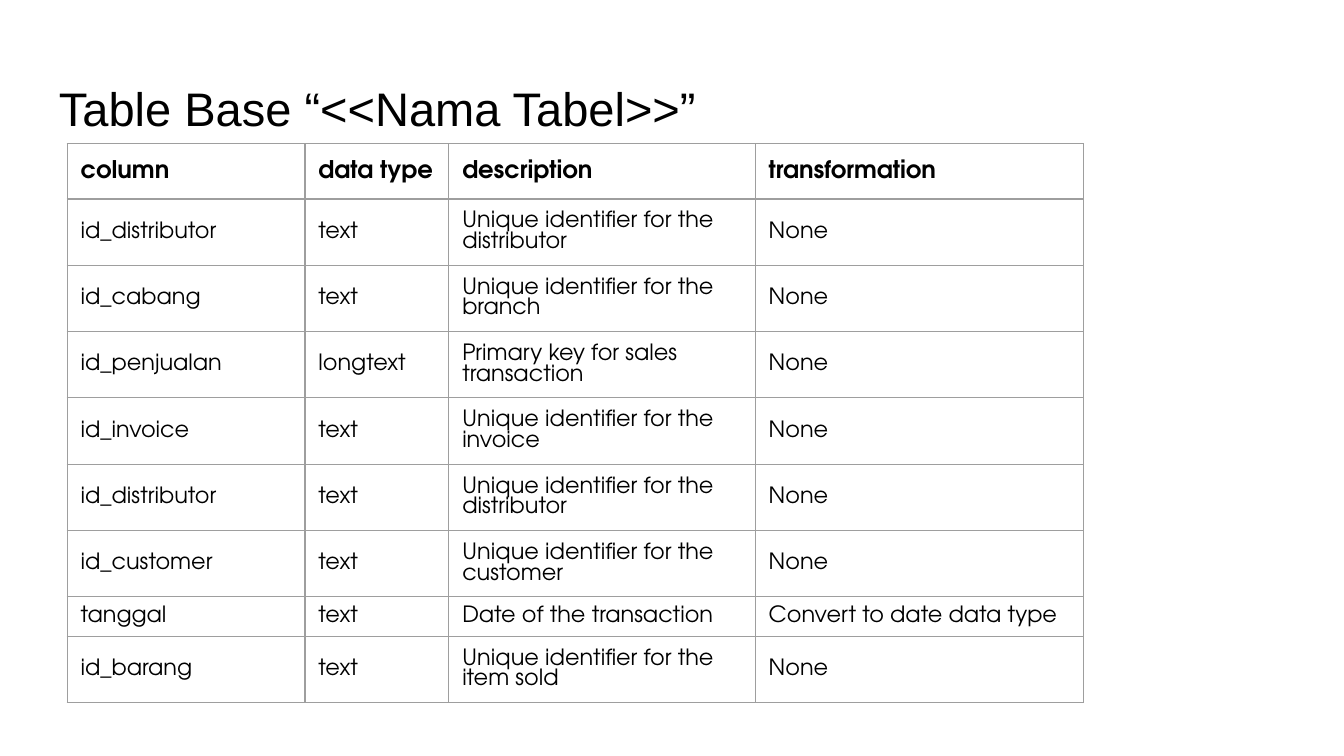
from typing import NamedTuple

from lxml import etree
from pptx import Presentation
from pptx.dml.color import RGBColor
from pptx.enum.text import MSO_ANCHOR
from pptx.oxml.ns import qn
from pptx.util import Inches, Pt

MIDDLE = MSO_ANCHOR.MIDDLE
BLACK, GRID = "000000", "9E9E9E"
FONT = "TeX Gyre Adventor"


class Field(NamedTuple):
    column: str
    data_type: str
    description: str
    transformation: str = "None"
    height: float = 0.49


HEADER = Field("column", "data type", "description", "transformation", 0.41)
FIELDS = [
    Field("id_distributor", "text", "Unique identifier for the distributor"),
    Field("id_cabang", "text", "Unique identifier for the branch"),
    Field("id_penjualan", "longtext", "Primary key for sales transaction"),
    Field("id_invoice", "text", "Unique identifier for the invoice"),
    Field("id_distributor", "text", "Unique identifier for the distributor"),
    Field("id_customer", "text", "Unique identifier for the customer"),
    Field("tanggal", "text", "Date of the transaction", "Convert to date data type", 0.29),
    Field("id_barang", "text", "Unique identifier for the item sold"),
]
COL_WIDTHS = [1.77, 1.07, 2.28, 2.44]

TITLE_FORMAT = {"name": "Arial", "size": Pt(25.2), "bold": False}
HEADER_FORMAT = {"name": FONT, "size": Pt(13), "bold": True}
BODY_FORMAT = {"name": FONT, "size": Pt(12), "bold": False}
HEADER_INSET, BODY_INSET = Pt(6.95), Pt(3.35)


def rgb(color: str) -> RGBColor:
    return RGBColor.from_string(color)


def write(tf, text: str, fmt: dict) -> None:
    r = tf.paragraphs[0].add_run()
    r.text = text
    for name, value in fmt.items():
        setattr(r.font, name, value)
    r.font.color.rgb = rgb(BLACK)


def set_borders(cell, color: str, width: float) -> None:
    tc_pr = cell._tc.get_or_add_tcPr()
    for side in ("a:lnL", "a:lnR", "a:lnT", "a:lnB"):
        ln = etree.SubElement(tc_pr, qn(side), w=str(Pt(width)))
        fill = etree.SubElement(ln, qn("a:solidFill"))
        etree.SubElement(fill, qn("a:srgbClr"), val=color)


def fill_cell(cell, text: str, fmt: dict, inset: int) -> None:
    cell.vertical_anchor = MIDDLE
    cell.margin_left = cell.margin_right = Inches(0.1)
    cell.margin_top = cell.margin_bottom = inset
    write(cell.text_frame, text, fmt)
    set_borders(cell, GRID, 0.75)
    cell.fill.background()


# Widescreen slide, 16:9
prs = Presentation()
prs.slide_width = Inches(10)
prs.slide_height = Inches(10 * 9 / 16)
s = prs.slides.add_slide(prs.slide_layouts[6])

# Title
sp = s.shapes.add_textbox(Inches(0.34), Inches(0.49), Inches(9.32), Inches(0.63))
tf = sp.text_frame
tf.word_wrap = True
tf.vertical_anchor = MIDDLE
for side in ("left", "right", "top", "bottom"):
    setattr(tf, f"margin_{side}", Inches(0.1))
write(tf, "Table Base “<<Nama Tabel>>”", TITLE_FORMAT)

# Table of fields
rows = [HEADER, *FIELDS]
table = s.shapes.add_table(
    len(rows), len(COL_WIDTHS), Inches(0.5), Inches(1.07),
    Inches(sum(COL_WIDTHS)), Inches(sum(f.height for f in rows)),
).table
table.first_row = table.horz_banding = False
for col, width in zip(table.columns, COL_WIDTHS):
    col.width = Inches(width)
for i, field in enumerate(rows):
    table.rows[i].height = Inches(field.height)
    fmt, inset = (BODY_FORMAT, BODY_INSET) if i else (HEADER_FORMAT, HEADER_INSET)
    for j, text in enumerate(field[:len(COL_WIDTHS)]):
        fill_cell(table.cell(i, j), text, fmt, inset)

prs.save("out.pptx")
